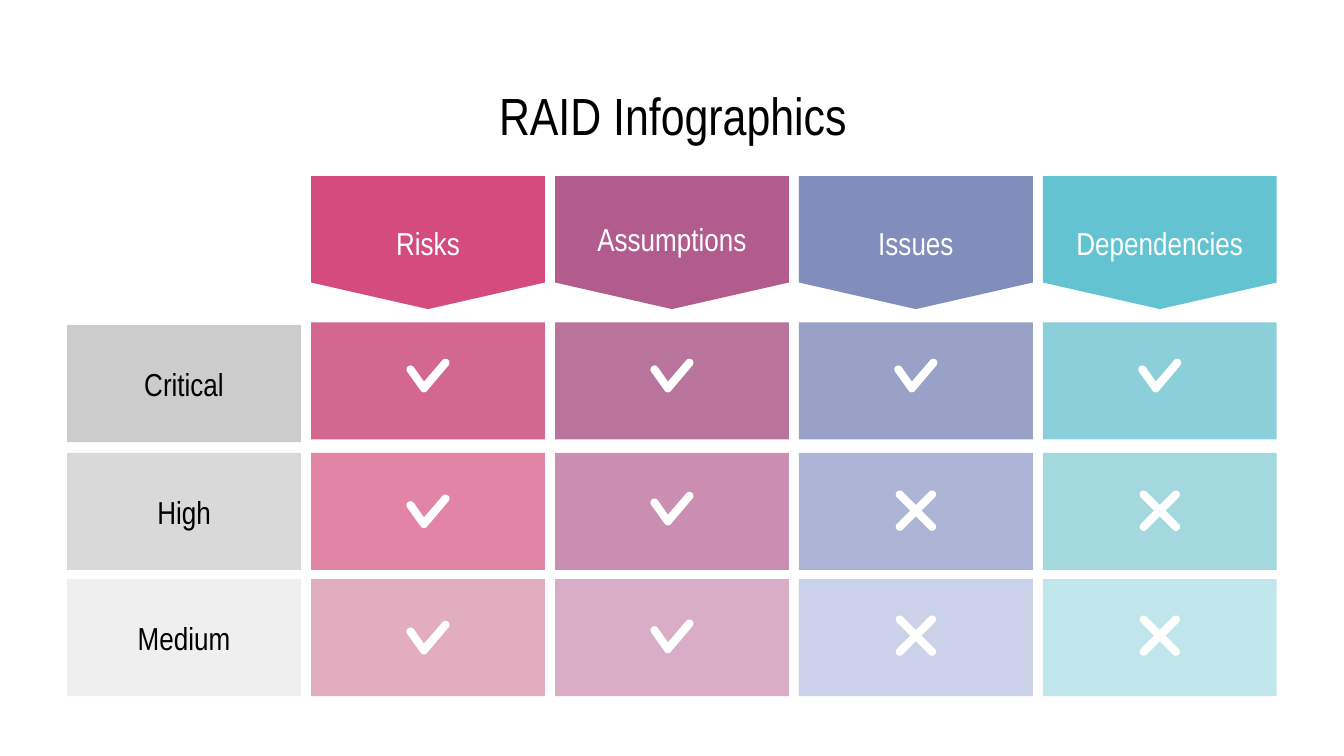
"""Build the RAID Infographics slide: priorities by category, marked with checks and crosses."""
import math

import pptx
import pptx.dml.color
import pptx.enum.shapes
import pptx.enum.text
import pptx.util

Inches = pptx.util.Inches
RGBColor = pptx.dml.color.RGBColor
PRESETS = pptx.enum.shapes.MSO_SHAPE

FONT = "Arial Narrow"
BLACK = RGBColor(0x00, 0x00, 0x00)
WHITE = RGBColor(0xFF, 0xFF, 0xFF)

TITLE = "RAID Infographics"
PRIORITIES = [
    ("High", RGBColor(0xD9, 0xD9, 0xD9), 3.37),
    ("Medium", RGBColor(0xEF, 0xEF, 0xEF), 4.31),
    ("Critical", RGBColor(0xCC, 0xCC, 0xCC), 2.42),
]
CATEGORIES = [
    ("Risks", 1.61, RGBColor(0xD4, 0x4B, 0x7D), [
        (RGBColor(0xD4, 0x67, 0x8F), "check", 2.67),
        (RGBColor(0xE1, 0x84, 0xA6), "check", 3.68),
        (RGBColor(0xE3, 0xAD, 0xC0), "check", 4.62)]),
    ("Assumptions", 1.58, RGBColor(0xB2, 0x5C, 0x8D), [
        (RGBColor(0xB8, 0x74, 0x9B), "check", 2.67),
        (RGBColor(0xC9, 0x8E, 0xB0), "check", 3.66),
        (RGBColor(0xDA, 0xAD, 0xC7), "check", 4.61)]),
    ("Issues", 1.61, RGBColor(0x81, 0x8D, 0xBA), [
        (RGBColor(0x98, 0xA1, 0xC6), "check", 2.67),
        (RGBColor(0xAC, 0xB5, 0xD5), "cross", 3.65),
        (RGBColor(0xCB, 0xD1, 0xE8), "cross", 4.58)]),
    ("Dependencies", 1.61, RGBColor(0x63, 0xC3, 0xD0), [
        (RGBColor(0x8A, 0xCF, 0xD9), "check", 2.67),
        (RGBColor(0xA3, 0xD8, 0xDF), "cross", 3.65),
        (RGBColor(0xC0, 0xE5, 0xEA), "cross", 4.58)]),
]

SLIDE_WIDTH = Inches(10)
SLIDE_HEIGHT = SLIDE_WIDTH * 9 // 16
LEFT, RIGHT = 0.5, 9.5
CELL_WIDTH, CELL_HEIGHT = 1.74, 0.87
LABEL_HEIGHT = 0.57
PITCH = (RIGHT - LEFT - CELL_WIDTH) / len(CATEGORIES)
CELL_TOPS = [2.4, 3.37, 4.31]
HEADER_TOP, HEADER_HEIGHT = 1.31, 0.99
HEADING_WIDTH, HEADING_HEIGHT = 1.53, 0.39


def arc(x, y, radius, start, end, steps=10):
    angles = [math.radians(start + (end - start) * i / steps) for i in range(steps + 1)]
    return [(x + radius * math.cos(a), y + radius * math.sin(a)) for a in angles]


def check_outline():
    return (arc(0.13, 0.03, 0.03, -137, 43) + arc(-0.03, 0.22, 0.03, 43, 143)
            + arc(-0.13, 0.08, 0.03, 143, 323) + [(-0.03, 0.17)])


def cross_outline(half=0.15, radius=0.03):
    tip, notch = half - radius, radius * math.sqrt(2)
    points = []
    for quarter, (x, y) in enumerate([(1, 1), (-1, 1), (-1, -1), (1, -1)]):
        angle = 45 + 90 * quarter
        points += arc(x * tip, half + y * tip, radius, angle - 90, angle + 90)
        inner = math.radians(angle + 45)
        points.append((notch * math.cos(inner), half + notch * math.sin(inner)))
    return points


OUTLINES = {"check": check_outline(), "cross": cross_outline()}


def paint(shape, color):
    shape.fill.solid()
    shape.fill.fore_color.rgb = color
    shape.line.fill.background()
    shape.shadow.inherit = False
    return shape


def add_block(slide, preset, left, top, height, color):
    block = slide.shapes.add_shape(
        preset, Inches(left), Inches(top), Inches(CELL_WIDTH), Inches(height))
    return paint(block, color)


def add_mark(slide, kind, center, top):
    points = [(Inches(center + x), Inches(top + y)) for x, y in OUTLINES[kind]]
    builder = slide.shapes.build_freeform(*points[0])
    builder.add_line_segments(points[1:], close=True)
    paint(builder.convert_to_shape(), WHITE)


def write(shape, text, *, size=17, color=BLACK):
    frame = shape.text_frame
    frame.word_wrap = True
    frame.vertical_anchor = pptx.enum.text.MSO_ANCHOR.MIDDLE
    frame.margin_left = frame.margin_right = Inches(0.1)
    frame.margin_top = frame.margin_bottom = Inches(0.1)
    paragraph = frame.paragraphs[0]
    paragraph.alignment = pptx.enum.text.PP_ALIGN.CENTER
    run = paragraph.add_run()
    run.text = text
    run.font.name = FONT
    run.font.size = pptx.util.Pt(size)
    run.font.color.rgb = color


def add_text(slide, text, left, top, width, height, **style):
    box = slide.shapes.add_textbox(Inches(left), Inches(top), Inches(width), Inches(height))
    write(box, text, **style)


def main():
    deck = pptx.Presentation()
    deck.slide_width, deck.slide_height = SLIDE_WIDTH, SLIDE_HEIGHT
    slide = deck.slides.add_slide(deck.slide_layouts[6])
    add_text(slide, TITLE, 0.78, 0.59, 8.45, 0.53, size=28)

    for column, (category, heading_top, header_color, cells) in enumerate(CATEGORIES, 1):
        left = LEFT + column * PITCH
        center = left + CELL_WIDTH / 2
        add_block(slide, PRESETS.FLOWCHART_OFFPAGE_CONNECTOR,
                  left, HEADER_TOP, HEADER_HEIGHT, header_color)
        add_text(slide, category, center - HEADING_WIDTH / 2, heading_top,
                 HEADING_WIDTH, HEADING_HEIGHT, color=WHITE)
        for cell_top, (cell_color, mark, mark_top) in zip(CELL_TOPS, cells):
            add_block(slide, PRESETS.RECTANGLE, left, cell_top, CELL_HEIGHT, cell_color)
            add_mark(slide, mark, center, mark_top)

    for priority, color, top in PRIORITIES:
        add_block(slide, PRESETS.RECTANGLE, LEFT, top, CELL_HEIGHT, color)
        label_top = top + (CELL_HEIGHT - LABEL_HEIGHT) / 2
        label = add_block(slide, PRESETS.RECTANGLE, LEFT, label_top, LABEL_HEIGHT, color)
        write(label, priority)

    deck.save("out.pptx")


if __name__ == "__main__":
    main()
